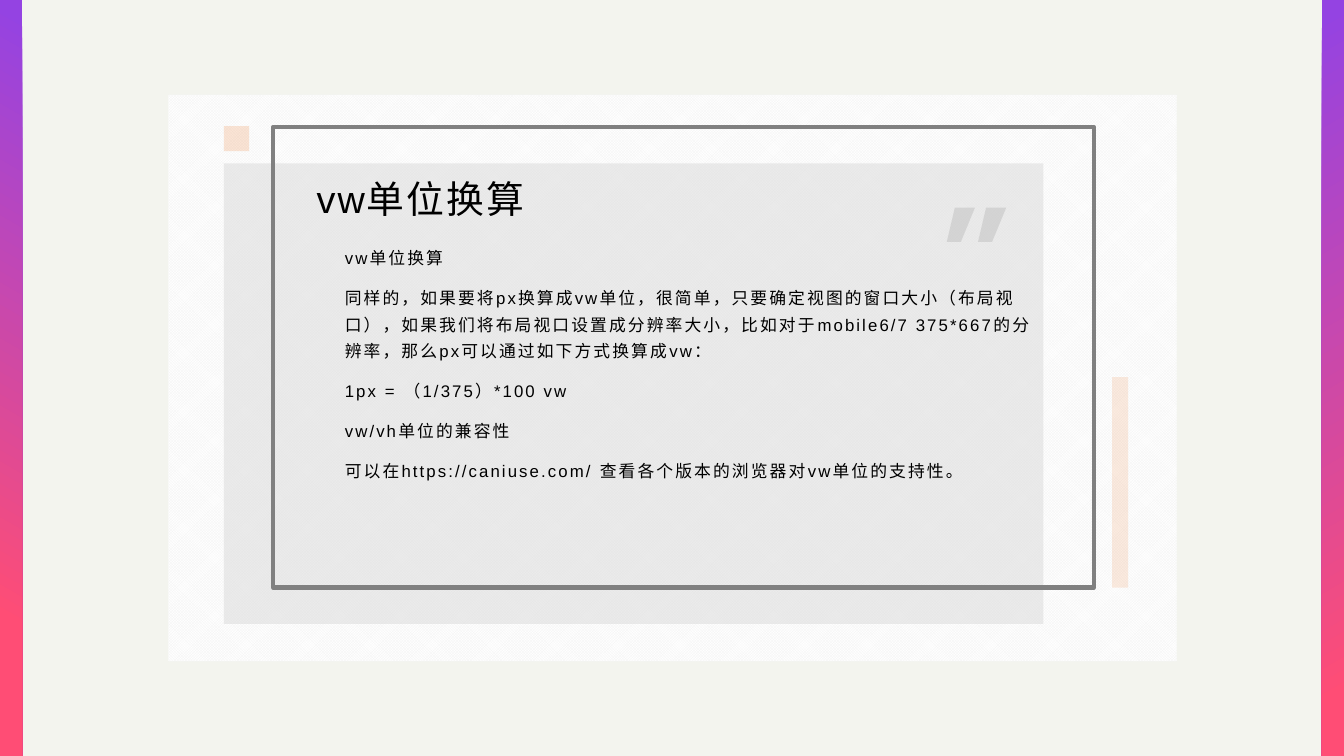
from lxml import etree
from pptx import Presentation
from pptx.dml.color import RGBColor
from pptx.enum import dml, shapes, text
from pptx.oxml.ns import qn
from pptx.util import Inches, Pt

CREAM = RGBColor(0xF3, 0xF4, 0xEE)
PURPLE = RGBColor(0x94, 0x43, 0xE2)
PINK = RGBColor(0xFF, 0x4D, 0x75)
WHITE = RGBColor(0xFF, 0xFF, 0xFF)
CHECK = RGBColor(0xF2, 0xF2, 0xF2)
PANEL = RGBColor(0xD9, 0xD9, 0xD9)
ORANGE = RGBColor(0xED, 0x7D, 0x31)
FRAME = RGBColor(0x80, 0x80, 0x80)
QUOTE = RGBColor(0xBF, 0xBF, 0xBF)
BLACK = RGBColor(0, 0, 0)

prs = Presentation()
prs.slide_width, prs.slide_height = Inches(13.33), Inches(7.5)
s = prs.slides.add_slide(prs.slide_layouts[1])
s.background.fill.solid()
s.background.fill.fore_color.rgb = CREAM


def paint(sp, color=None, alpha=100):
    """Remove shadow and outline; fill with a colour at the given opacity."""
    sp.shadow.inherit = False
    sp.line.fill.background()
    if color is not None:
        sp.fill.solid()
        sp.fill.fore_color.rgb = color
        clr = sp.fill._xPr.find(".//" + qn("a:srgbClr"))
        etree.SubElement(clr, qn("a:alpha"), val=str(alpha * 1000))
    return sp


def add_rect(x, y, w, h, color=None, alpha=100):
    sp = s.shapes.add_shape(shapes.MSO_SHAPE.RECTANGLE,
                            Inches(x), Inches(y), Inches(w), Inches(h))
    return paint(sp, color, alpha)


# Gradient side bars, the right one mirrored
for x, end, flip in ((0, 0.82, "0"), (13.11, 0.92, "1")):
    bar = add_rect(x, 0, 0.22, 7.5)
    bar.fill.gradient()
    bar.fill.gradient_angle = 240
    for stop, pos, color in zip(bar.fill.gradient_stops, (0.02, end), (PURPLE, PINK)):
        stop.position = pos
        stop.color.rgb = color
    bar.element.spPr.find(qn("a:xfrm")).set("flipH", flip)

# Patterned card
card = add_rect(1.67, 0.94, 10, 5.62)
card.fill.patterned()
card.fill.pattern = dml.MSO_PATTERN.SMALL_CHECKER_BOARD
card.fill.fore_color.rgb = CHECK
card.fill.back_color.rgb = WHITE

# Panel, accents and frame
add_rect(2.22, 1.62, 8.13, 4.57, PANEL, 50)
add_rect(2.22, 1.25, 0.25, 0.25, ORANGE, 20)
add_rect(11.03, 3.74, 0.16, 2.09, ORANGE, 15)
frame = add_rect(2.71, 1.26, 8.14, 4.57)
frame.fill.background()
frame.line.color.rgb = FRAME
frame.line.width = Pt(3)

# Quotation mark: two slanted strokes
for x in (9.39, 9.7):
    fb = s.shapes.build_freeform(Inches(x + 0.14), Inches(2.4))
    fb.add_line_segments([(Inches(x + dx), Inches(y)) for dx, y in
                          ((0, 2.4), (0.08, 2.06), (0.28, 2.06))], close=True)
    paint(fb.convert_to_shape(), QUOTE, 50)

# Title and body text, brought in front of the panel
TITLE = ["vw单位换算"]
BODY = [
    "vw单位换算",
    "同样的，如果要将px换算成vw单位，很简单，只要确定视图的窗口大小（布局视口），"
    "如果我们将布局视口设置成分辨率大小，比如对于mobile6/7 375*667的分辨率，"
    "那么px可以通过如下方式换算成vw：",
    "1px = （1/375）*100 vw",
    "vw/vh单位的兼容性",
    "可以在https://caniuse.com/ 查看各个版本的浏览器对vw单位的支持性。",
]
for sp, box, insets, lines, size, spacing in (
        (s.shapes.title, (3.06, 1.71, 7.59, 0.51), (0.08, 0.03, 0.05, 0.03), TITLE, 27, 1),
        (s.placeholders[1], (3.34, 2.4, 7.01, 3.08), (0.08, 0, 0.07, 0), BODY, 12, 1.3)):
    sp.left, sp.top, sp.width, sp.height = map(Inches, box)
    sp.element.getparent().append(sp.element)
    tf = sp.text_frame
    tf.text = "\n".join(lines)
    tf.word_wrap = True
    tf.auto_size = text.MSO_AUTO_SIZE.NONE
    tf.vertical_anchor = text.MSO_ANCHOR.TOP
    tf.margin_left, tf.margin_top, tf.margin_right, tf.margin_bottom = map(Inches, insets)
    for i, p in enumerate(tf.paragraphs):
        p.alignment = text.PP_ALIGN.LEFT
        p.line_spacing = spacing
        p.space_before = Pt(10 if i else 0)
        pPr = p._p.get_or_add_pPr()
        pPr.set("marL", "0")
        pPr.set("indent", "0")
        etree.SubElement(pPr, qn("a:buNone"))
        for r in p.runs:
            r.font.size = Pt(size)
            r.font.color.rgb = BLACK
            r.font.name = "Arial"
            rPr = r._r.get_or_add_rPr()
            rPr.set("spc", "150")
            etree.SubElement(rPr, qn("a:ea"), typeface="Noto Sans CJK SC")

prs.save("out.pptx")
